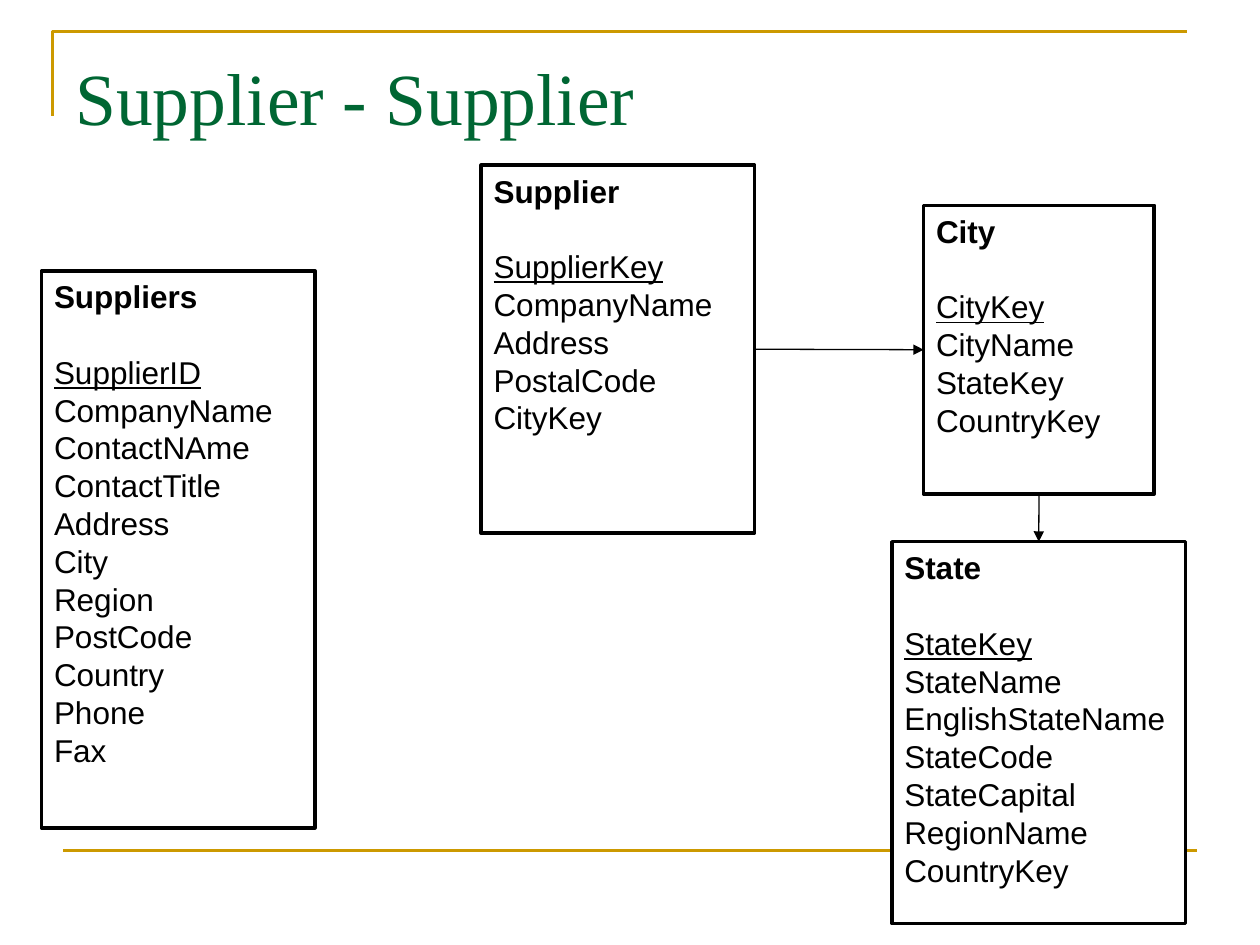
from dataclasses import dataclass

from lxml.etree import SubElement
from pptx import Presentation
from pptx.dml.color import RGBColor
from pptx.enum.shapes import MSO_CONNECTOR, MSO_SHAPE
from pptx.enum.text import MSO_ANCHOR, PP_ALIGN
from pptx.oxml.ns import qn
from pptx.slide import Slide
from pptx.util import Cm, Pt

BOTTOM, LEFT, RIGHT, TOP = 2, 1, 3, 0


def color(value):
    return RGBColor.from_string(value)


@dataclass
class SchemaSlide:
    """Hold the style of a schema diagram and the slide it is drawn on."""

    slide: Slide
    ink: str = "000000"
    paper: str = "FFFFFF"
    accent: str = "CC9900"
    heading: str = "006633"
    body_font: str = "Arial"
    title_font: str = "Times New Roman"
    body_size: float = 18
    line_height: float = 21.6

    def add_run(self, paragraph, text, font, size, fill):
        run = paragraph.add_run()
        run.text = text
        run.font.name = font
        run.font.size = Pt(size)
        run.font.color.rgb = color(fill)
        return run

    def format_frame(self, frame, top_margin):
        frame.word_wrap = True
        frame.vertical_anchor = MSO_ANCHOR.TOP
        frame.margin_left = frame.margin_right = Cm(0.25)
        frame.margin_top, frame.margin_bottom = Cm(top_margin), Cm(0.13)

    def add_title(self, text, left, top, width, height):
        title = self.slide.shapes.title
        title.left, title.top = Cm(left), Cm(top)
        title.width, title.height = Cm(width), Cm(height)
        self.format_frame(title.text_frame, 0.28)
        paragraph = title.text_frame.paragraphs[0]
        paragraph.alignment = PP_ALIGN.LEFT
        self.add_run(paragraph, text, self.title_font, 42, self.heading)

    def add_corner(self, left, top, right, bottom):
        builder = self.slide.shapes.build_freeform(Cm(left), Cm(bottom))
        builder.add_line_segments(
            [(Cm(left), Cm(top)), (Cm(right), Cm(top))], close=False
        )
        shape = builder.convert_to_shape()
        shape.shadow.inherit = False
        shape.fill.background()
        shape.line.color.rgb = color(self.accent)
        shape.line.width = Pt(1.5)

    def add_line(self, start, end, stroke, width):
        points = [Cm(value) for value in (*start, *end)]
        connector = self.slide.shapes.add_connector(MSO_CONNECTOR.STRAIGHT, *points)
        connector.line.color.rgb = color(stroke)
        connector.line.width = Pt(width)
        SubElement(connector._element.spPr, qn("a:effectLst"))
        return connector

    def add_arrow(self, source, source_side, target, target_side):
        connector = self.add_line((0, 0), (0, 0), self.ink, 0.75)
        connector.begin_connect(source, source_side)
        connector.end_connect(target, target_side)
        SubElement(connector.line._get_or_add_ln(), qn("a:tailEnd"), type="triangle")

    def add_entity(self, name, fields, left, top, width, height):
        shape = self.slide.shapes.add_shape(
            MSO_SHAPE.RECTANGLE, Cm(left), Cm(top), Cm(width), Cm(height)
        )
        shape.shadow.inherit = False
        shape.fill.solid()
        shape.fill.fore_color.rgb = color(self.paper)
        shape.line.color.rgb = color(self.ink)
        shape.line.width = Pt(2)
        frame = shape.text_frame
        self.format_frame(frame, 0.13)
        for index, text in enumerate([name, *fields]):
            paragraph = frame.add_paragraph() if index else frame.paragraphs[0]
            paragraph.alignment = PP_ALIGN.LEFT
            paragraph.line_spacing = Pt(self.line_height)
            run = self.add_run(
                paragraph, text, self.body_font, self.body_size, self.ink
            )
            run.font.bold = index == 0
            if index == 1:
                run.font.underline = True
                paragraph.space_before = Pt(self.line_height)
        return shape


def main():
    presentation = Presentation()
    presentation.slide_width, presentation.slide_height = Cm(25.4), Cm(19.05)
    slide = presentation.slides.add_slide(presentation.slide_layouts[5])
    schema = SchemaSlide(slide)

    schema.add_corner(1.06, 0.64, 23.92, 2.33)
    schema.add_line((1.27, 17.15), (24.13, 17.15), schema.accent, 1.5)
    schema.add_title("Supplier - Supplier", 1.27, 0.76, 22.86, 3.18)

    schema.add_entity(
        "Suppliers",
        ["SupplierID", "CompanyName", "ContactNAme", "ContactTitle", "Address",
         "City", "Region", "PostCode", "Country", "Phone", "Fax"],
        0.84, 5.46, 5.51, 11.23,
    )
    supplier = schema.add_entity(
        "Supplier",
        ["SupplierKey", "CompanyName", "Address", "PostalCode", "CityKey"],
        9.7, 3.33, 5.51, 7.42,
    )
    city = schema.add_entity(
        "City",
        ["CityKey", "CityName", "StateKey", "CountryKey"],
        18.62, 4.14, 4.65, 5.82,
    )
    state = schema.add_entity(
        "State",
        ["StateKey", "StateName", "EnglishStateName", "StateCode",
         "StateCapital", "RegionName", "CountryKey"],
        17.98, 10.92, 5.92, 7.7,
    )
    schema.add_arrow(supplier, RIGHT, city, LEFT)
    schema.add_arrow(city, BOTTOM, state, TOP)
    presentation.save("out.pptx")


if __name__ == "__main__":
    main()
